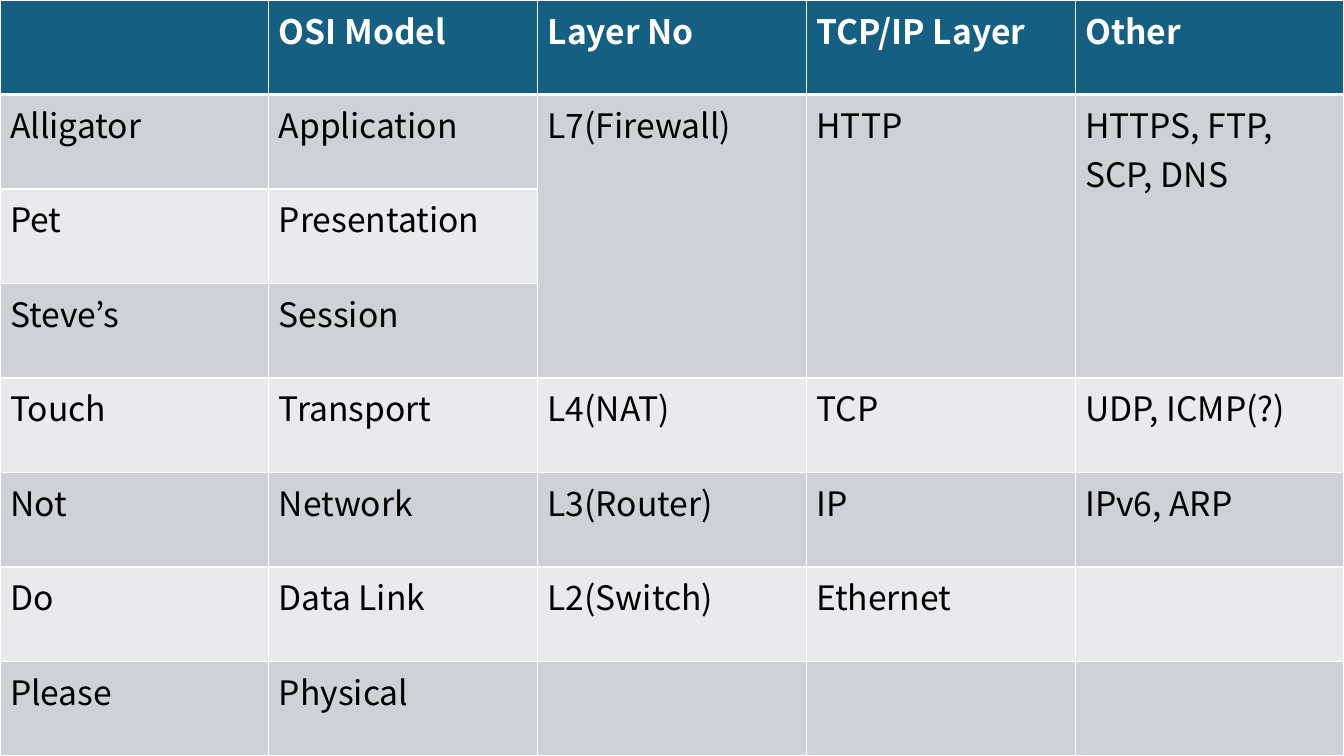
import pptx
import pptx.dml.color
import pptx.oxml
import pptx.oxml.ns
import pptx.util

HEADER = ["", "OSI Model", "Layer No", "TCP/IP Layer", "Other"]
LAYERS = [
    ["Alligator", "Application", "L7(Firewall)", "HTTP", "HTTPS, FTP, SCP, DNS"],
    ["Pet", "Presentation", "", "", ""],
    ["Steve’s", "Session", "", "", ""],
    ["Touch", "Transport", "L4(NAT)", "TCP", "UDP, ICMP(?)"],
    ["Not", "Network", "L3(Router)", "IP", "IPv6, ARP"],
    ["Do", "Data Link", "L2(Switch)", "Ethernet", ""],
    ["Please", "Physical", "", "", ""],
]
MERGES = [(1, col, 3, col) for col in (2, 3, 4)]


def color(value):
    return pptx.dml.color.RGBColor.from_string(value)


def write(tf, text, font, size, fill, bold=False):
    r = tf.paragraphs[0].add_run()
    r.text = text
    r.font.name = font
    r.font.size = pptx.util.Pt(size)
    r.font.bold = bold
    r.font.color.rgb = color(fill)


class Deck:
    font = "Noto Sans CJK KR"
    size = 24
    header_fill = "156082"
    bands = ("CCD2D8", "E8EAED")
    light = "FFFFFF"
    dark = "000000"

    def __init__(self, width, height):
        self.prs = pptx.Presentation()
        self.prs.slide_width = pptx.util.Inches(width)
        self.prs.slide_height = pptx.util.Inches(height)
        self.s = self.prs.slides.add_slide(self.prs.slide_layouts[6])

    def borders(self, cell, bottom):
        tc_pr = cell._tc.get_or_add_tcPr()
        for i, side in enumerate("LRTB"):
            width = pptx.util.Pt(bottom if side == "B" else 1)
            tc_pr.insert(i, pptx.oxml.parse_xml(
                f'<a:ln{side} {pptx.oxml.ns.nsdecls("a")} w="{width}">'
                f'<a:solidFill><a:srgbClr val="{self.light}"/></a:solidFill>'
                f'</a:ln{side}>'))

    def cell(self, cell, text, row):
        header = row == 0
        cell.fill.solid()
        cell.fill.fore_color.rgb = color(
            self.header_fill if header else self.bands[(row - 1) % 2])
        self.borders(cell, bottom=3 if header else 1)
        if text:
            write(cell.text_frame, text, font=self.font, size=self.size,
                  fill=self.light if header else self.dark, bold=header)

    def table(self, rows, merges, x=0, y=0, w=1, h=1):
        width, height = self.prs.slide_width, self.prs.slide_height
        table = self.s.shapes.add_table(
            len(rows), len(rows[0]), int(x * width), int(y * height),
            int(w * width), int(h * height)).table
        for i, row in enumerate(rows):
            for j, text in enumerate(row):
                self.cell(table.cell(i, j), text, i)
        for top, left, bottom, right in merges:
            table.cell(top, left).merge(table.cell(bottom, right))


def main():
    deck = Deck(13.33, 7.5)
    deck.table([HEADER] + LAYERS, MERGES)
    deck.prs.save("out.pptx")


if __name__ == "__main__":
    main()
